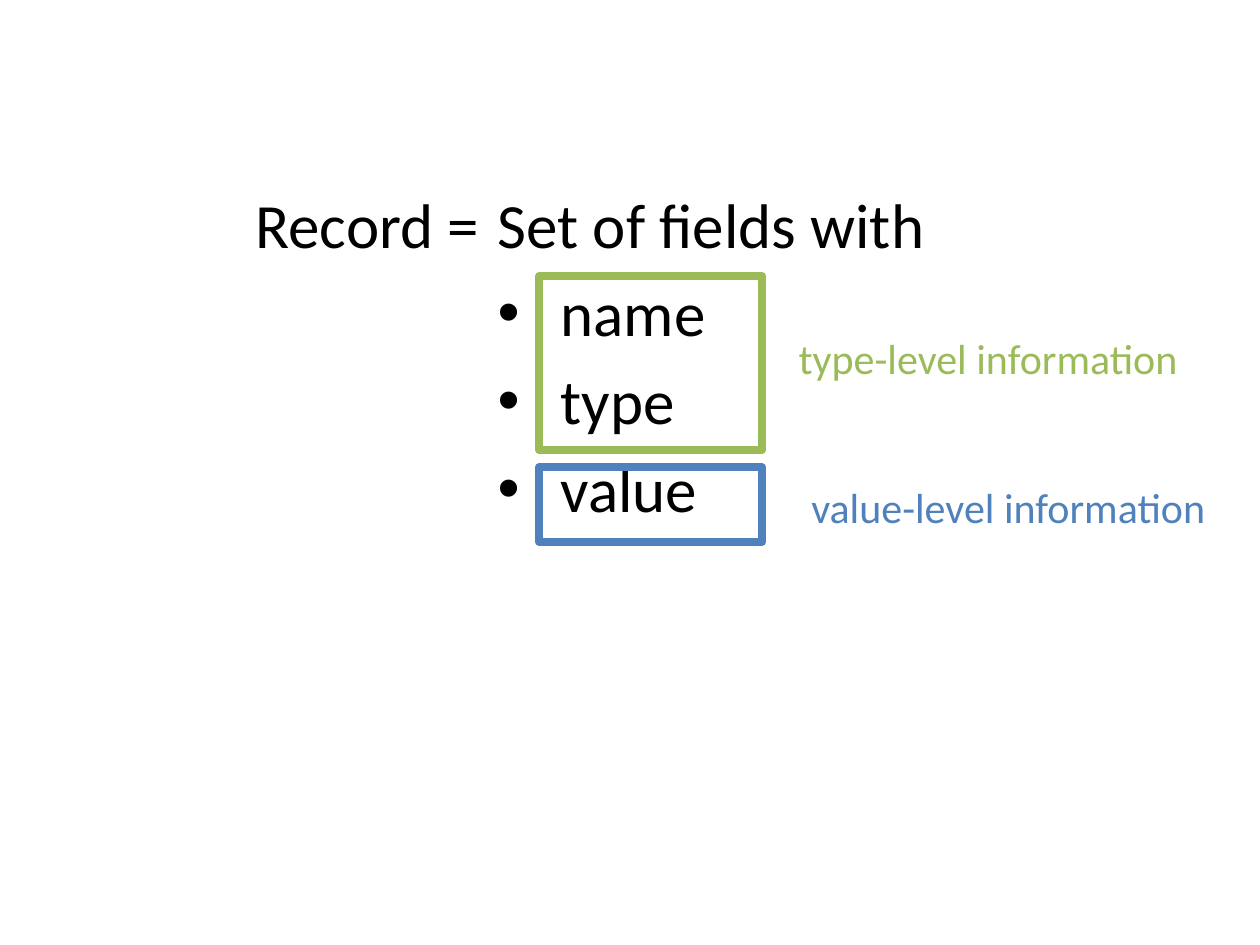
from lxml import etree
from pptx import Presentation
from pptx.dml.color import RGBColor
from pptx.enum.shapes import MSO_SHAPE
from pptx.enum.text import MSO_AUTO_SIZE
from pptx.oxml.ns import qn
from pptx.util import Inches, Pt

RECTANGLE = MSO_SHAPE.RECTANGLE
GROW = MSO_AUTO_SIZE.SHAPE_TO_FIT_TEXT
BLACK = RGBColor(0x00, 0x00, 0x00)
GREEN = RGBColor(0x9B, 0xBB, 0x59)
BLUE = RGBColor(0x4F, 0x81, 0xBD)

HEADING_TOP = 1.42
FRAME_LEFT, FRAME_WIDTH = 4.28, 1.77
BULLET_INDENT = Inches(0.5)

prs = Presentation()
prs.slide_width, prs.slide_height = Inches(10), Inches(7.5)
slide = prs.slides.add_slide(prs.slide_layouts[6])


def add_text(lines, left, top, width, height, size, color):
    box = slide.shapes.add_textbox(*map(Inches, (left, top, width, height)))
    frame = box.text_frame
    frame.text = "\n".join(lines)
    for paragraph in frame.paragraphs:
        font = paragraph.runs[0].font
        font.name, font.size = "Calibri", Pt(size)
        font.color.rgb = color
    return frame


# Definition of a record, with the parts of a field as bullets
definition = add_text(["Set of fields with", "name", "type", "value"],
                      3.59, HEADING_TOP, 4.12, 3.59, 36, BLACK)
definition.word_wrap = True
definition.margin_left = Inches(0.36)
for field_part in definition.paragraphs[1:]:
    field_part.space_before = Pt(7.2)
    properties = field_part._p.get_or_add_pPr()
    properties.set("marL", str(BULLET_INDENT))
    properties.set("indent", str(-BULLET_INDENT))
    etree.SubElement(properties, qn("a:buFont")).set("typeface", "Arial")
    etree.SubElement(properties, qn("a:buChar")).set("char", "•")

record = add_text(["Record ="], 1.93, HEADING_TOP, 2.01, 0.71, 36, BLACK)
record.auto_size = GROW

# Frames around the bullets, each with its label
levels = [
    (GREEN, 2.19, 1.38, "type-level information", 6.24, 2.59, 3.26),
    (BLUE, 3.71, 0.59, "value-level information", 6.34, 3.77, 3.38),
]
for color, top, height, label, label_left, label_top, label_width in levels:
    level_frame = slide.shapes.add_shape(
        RECTANGLE, *map(Inches, (FRAME_LEFT, top, FRAME_WIDTH, height)))
    level_frame.shadow.inherit = False
    level_frame.fill.background()
    level_frame.line.color.rgb = color
    level_frame.line.width = Pt(4.5)
    level_label = add_text([label], label_left, label_top, label_width, 0.5, 24, color)
    level_label.auto_size = GROW

prs.save("out.pptx")
